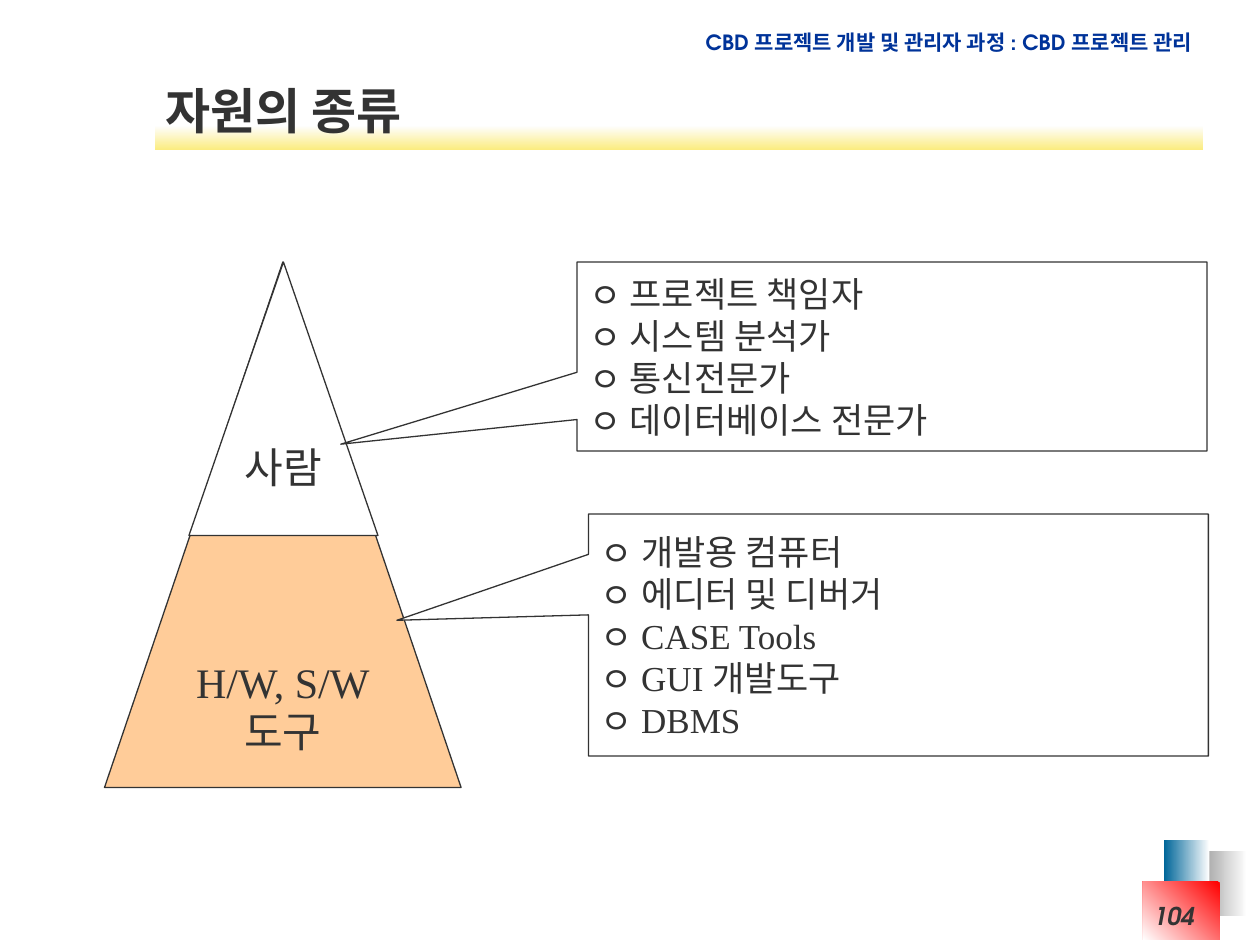
import pptx
import pptx.dml.color
import pptx.enum.shapes
import pptx.enum.text
import pptx.oxml.ns
import pptx.util
from lxml import etree

Inches = pptx.util.Inches
Pt = pptx.util.Pt
SHAPES = pptx.enum.shapes.MSO_SHAPE
ALIGN = pptx.enum.text.PP_ALIGN
ANCHOR = pptx.enum.text.MSO_ANCHOR

INK = "333333"
KOREAN = "Noto Sans CJK KR"
SERIF = "Times New Roman"
SANS = "TeX Gyre Adventor"
BULLET_INDENT = 0.32


def color(hex_code):
    return pptx.dml.color.RGBColor.from_string(hex_code)


def add_element(parent, tag, **attributes):
    return etree.SubElement(parent, pptx.oxml.ns.qn(tag), **attributes)


def add_bullet(paragraph):
    properties = paragraph._p.get_or_add_pPr()
    properties.set("marL", str(Inches(BULLET_INDENT)))
    properties.set("indent", str(-Inches(BULLET_INDENT)))
    add_element(properties, "a:buFont", typeface=KOREAN)
    add_element(properties, "a:buChar", char="ㅇ")


def write(frame, lines, size, font, ink=INK, align=ALIGN.LEFT, spacing=None,
          bold=False, italic=False, bulleted=False):
    for index, line in enumerate(lines):
        paragraph = frame.paragraphs[0] if index == 0 else frame.add_paragraph()
        paragraph.alignment = align
        if spacing:
            paragraph.line_spacing = Pt(spacing)
        if bulleted:
            add_bullet(paragraph)
        run = paragraph.add_run()
        run.text = line
        run.font.size = Pt(size)
        run.font.bold = bold
        run.font.italic = italic
        run.font.color.rgb = color(ink)
        run.font.name = font
        add_element(run.font._element, "a:ea", typeface=KOREAN)


def add_gradient_block(slide, box, start, end, angle):
    block = slide.shapes.add_shape(SHAPES.RECTANGLE, *map(Inches, box))
    block.shadow.inherit = False
    block.line.fill.background()
    block.fill.gradient()
    block.fill.gradient_angle = angle
    for stop, hex_code in zip(block.fill.gradient_stops, (start, end)):
        stop.color.rgb = color(hex_code)


def add_outlined(slide, kind, box, fill):
    outlined = slide.shapes.add_shape(kind, *map(Inches, box))
    outlined.shadow.inherit = False
    outlined.fill.solid()
    outlined.fill.fore_color.rgb = color(fill)
    outlined.line.color.rgb = color(INK)
    outlined.line.width = Pt(0.75)
    outlined.text_frame.vertical_anchor = ANCHOR.MIDDLE
    return outlined


def add_pyramid_level(slide, box, fill, lines, top_inset=0.05):
    level = add_outlined(slide, SHAPES.ISOSCELES_TRIANGLE, box, fill)
    level.text_frame.word_wrap = False
    level.text_frame.margin_top = Inches(top_inset)
    write(level.text_frame, lines, 24, SERIF, align=ALIGN.CENTER, spacing=28)


def add_resource_callout(slide, box, pointer, resources):
    callout = add_outlined(slide, SHAPES.RECTANGULAR_CALLOUT, box, "FFFFFF")
    callout.adjustments[0], callout.adjustments[1] = pointer
    callout.text_frame.word_wrap = True
    write(callout.text_frame, resources, 20, SERIF, spacing=24, bulleted=True)


def add_label(slide, box, text, size, **style):
    label = slide.shapes.add_textbox(*map(Inches, box))
    label.text_frame.word_wrap = True
    write(label.text_frame, [text], size, SANS, align=ALIGN.RIGHT, bold=True, **style)


def set_title(slide, text):
    title = slide.shapes.title
    title.left, title.top, title.width, title.height = map(Inches, (1.21, 0.51, 8.32, 0.61))
    frame = title.text_frame
    frame.auto_size = pptx.enum.text.MSO_AUTO_SIZE.NONE
    frame.vertical_anchor = ANCHOR.BOTTOM
    frame.margin_bottom = Inches(0.01)
    write(frame, [text], 28, KOREAN, spacing=34, bold=True)


def main():
    deck = pptx.Presentation()
    deck.slide_width, deck.slide_height = Inches(10), Inches(7.5)
    slide = deck.slides.add_slide(deck.slide_layouts[5])

    add_gradient_block(slide, (9.5, 6.75, 0.4, 0.52), "FFFFFF", "969696", 180)
    add_gradient_block(slide, (9.24, 6.67, 0.36, 0.52), "FFFFFF", "006699", 180)
    add_gradient_block(slide, (9.07, 7, 0.61, 0.46), "FF0000", "FFFFFF", 225)
    add_gradient_block(slide, (1.23, 1, 8.32, 0.19), "FEFEFE", "FBEC7F", 270)

    add_label(slide, (5.4, 0.18, 4.16, 0.3),
              "CBD 프로젝트 개발 및 관리자 과정 : CBD 프로젝트 관리",
              12, ink="003399", spacing=15)
    title_element = slide.shapes.title._element
    title_element.getparent().append(title_element)
    set_title(slide, "자원의 종류")

    add_pyramid_level(slide, (0.83, 2.08, 2.83, 4.17), "FFCC99",
                      ["H/W, S/W", "도구"], top_inset=0.85)
    add_pyramid_level(slide, (1.5, 2.08, 1.5, 2.17), "FFFFFF", ["사람"])
    add_resource_callout(slide, (4.58, 2.08, 5, 1.5), (-0.875, 0.464),
                         ["프로젝트 책임자", "시스템 분석가", "통신전문가",
                          "데이터베이스 전문가"])
    add_resource_callout(slide, (4.67, 4.08, 4.92, 1.92), (-0.809, -0.061),
                         ["개발용 컴퓨터", "에디터 및 디버거", "CASE Tools",
                          "GUI 개발도구", "DBMS"])
    add_label(slide, (8.35, 7.1, 1.23, 0.4), "104", 14, italic=True)

    deck.save("out.pptx")


if __name__ == "__main__":
    main()
